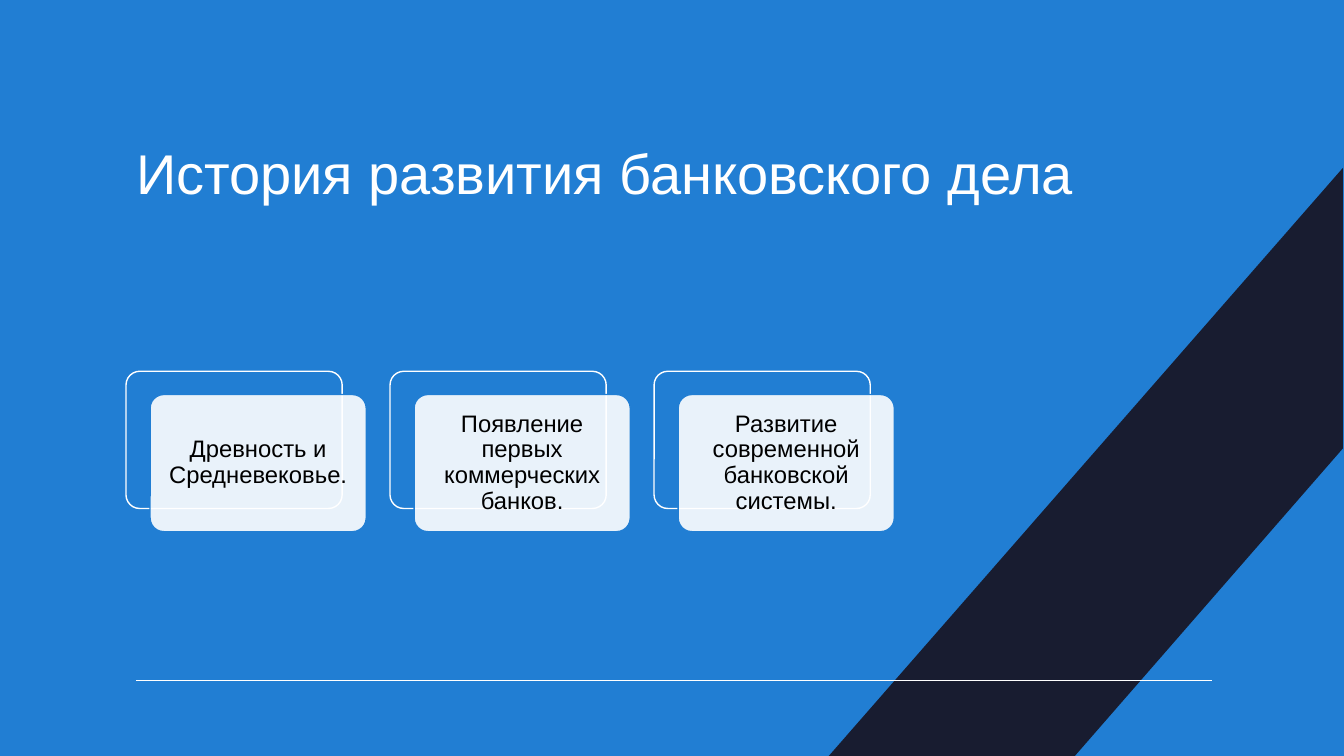
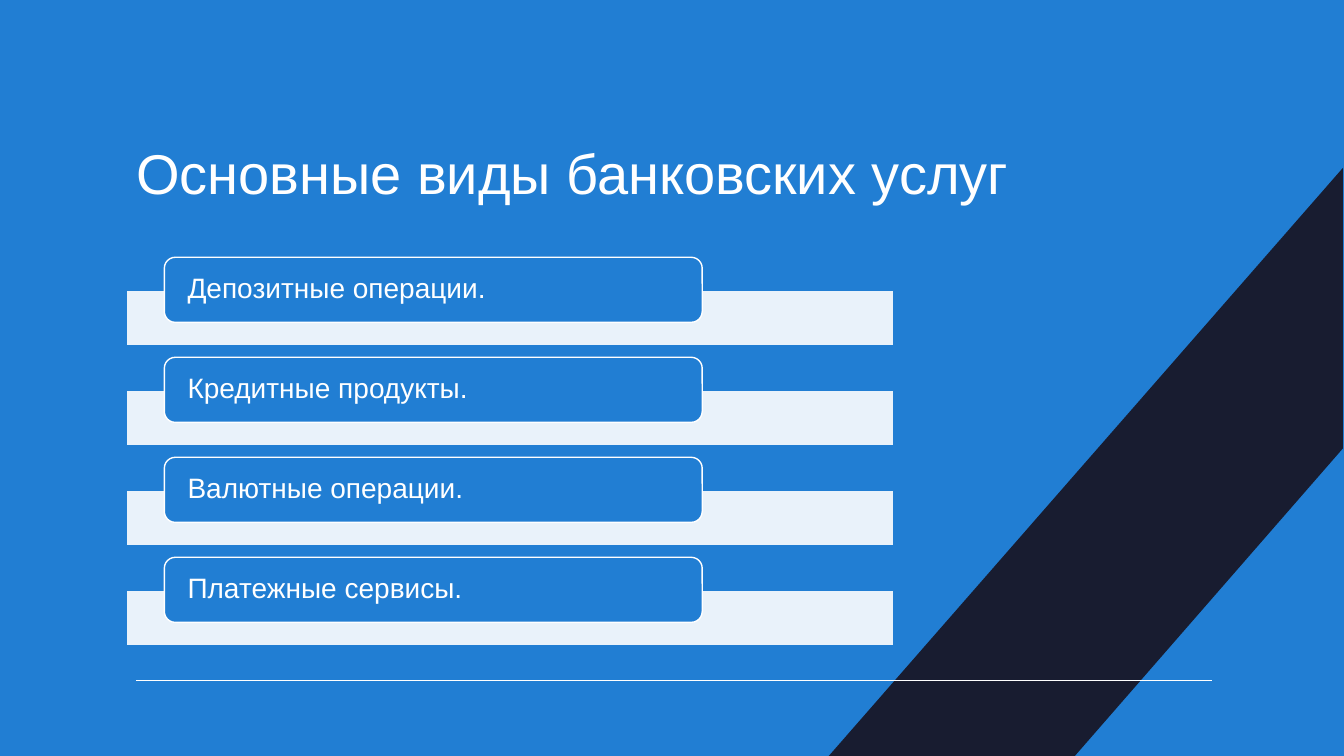
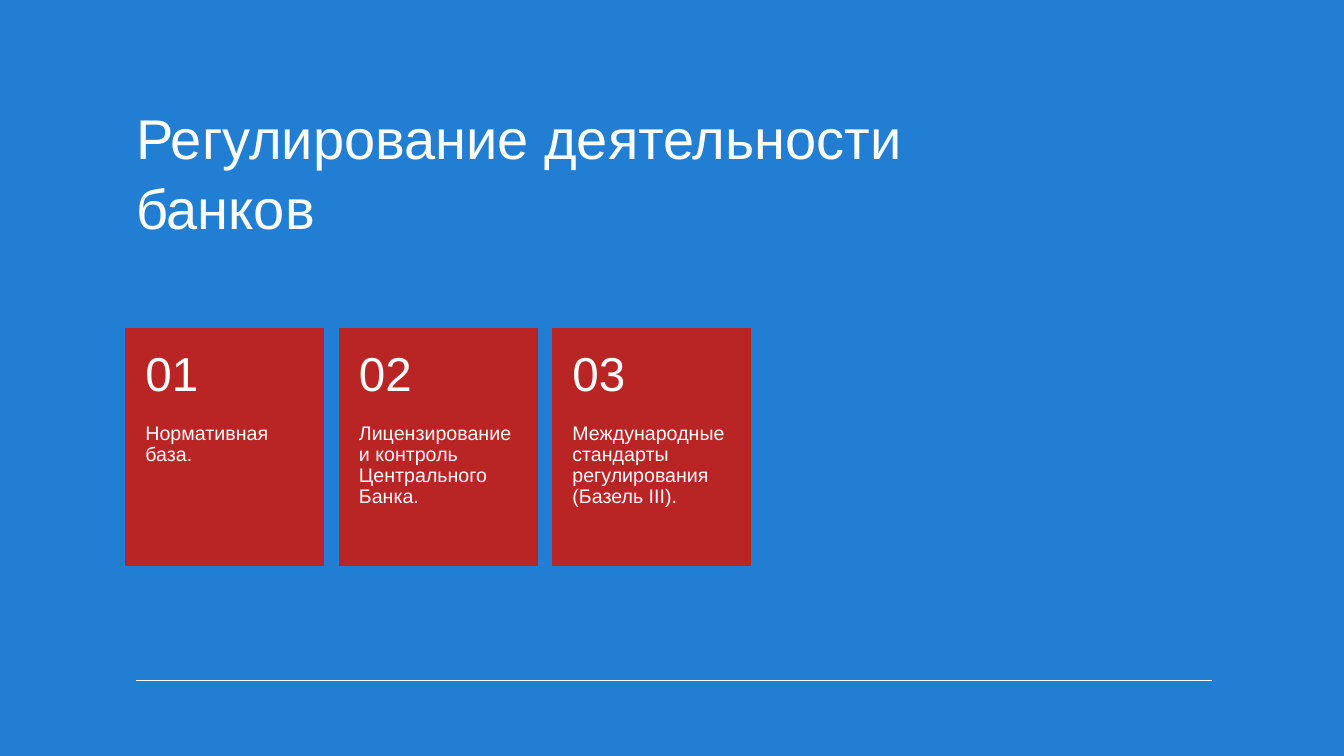
from dataclasses import dataclass
from typing import NamedTuple, Optional

from lxml import etree
from pptx import Presentation
from pptx.dml.color import RGBColor
from pptx.enum.shapes import MSO_CONNECTOR, MSO_SHAPE
from pptx.enum.text import MSO_ANCHOR, MSO_AUTO_SIZE, PP_ALIGN
from pptx.oxml.ns import qn
from pptx.util import Pt

RECT = MSO_SHAPE.RECTANGLE
ROUND = MSO_SHAPE.ROUNDED_RECTANGLE
STRAIGHT = MSO_CONNECTOR.STRAIGHT
LEFT, CENTER = PP_ALIGN.LEFT, PP_ALIGN.CENTER
TOP, MIDDLE = MSO_ANCHOR.TOP, MSO_ANCHOR.MIDDLE
TITLE_ONLY = 5


# Theme
@dataclass(frozen=True)
class Theme:
    font: str = "Arial"
    blue: RGBColor = RGBColor(0x21, 0x7E, 0xD3)
    navy: RGBColor = RGBColor(0x18, 0x1C, 0x30)
    red: RGBColor = RGBColor(0xB9, 0x25, 0x25)
    white: RGBColor = RGBColor(0xFF, 0xFF, 0xFF)
    black: RGBColor = RGBColor(0, 0, 0)
    title: float = 40
    number: float = 34
    item: float = 20
    card: float = 17
    note: float = 14


THEME = Theme()


class Box(NamedTuple):
    x: float
    y: float
    w: float
    h: float

    def move(self, dx: float = 0, dy: float = 0) -> "Box":
        return self._replace(x=self.x + dx, y=self.y + dy)


@dataclass(frozen=True)
class Look:
    """Outline, fill and border of a panel."""
    fill: RGBColor
    line: RGBColor
    radius: float = 0
    alpha: int = 100


@dataclass(frozen=True)
class Type:
    """Size, colour and setting of a text; pad is left, top, right, bottom."""
    size: float
    color: RGBColor
    pad: tuple[float, float, float, float]
    after: float
    align: PP_ALIGN = LEFT
    anchor: MSO_ANCHOR = MIDDLE
    lead: float = 0.9


# Panel looks
PALE = Look(THEME.white, THEME.blue, alpha=90)
PALE_CARD = Look(THEME.white, THEME.blue, radius=9.8, alpha=90)
BACK_CARD = Look(THEME.blue, THEME.white, radius=9.8)
TAB = Look(THEME.blue, THEME.white, radius=7.8)
TILE = Look(THEME.red, THEME.red)

# Text styles
HEAD = Type(THEME.title, THEME.white, (7.2, 3.6, 7.2, 3.6), 0, lead=1.04)
CARD_TEXT = Type(THEME.card, THEME.black, (5, 5, 5, 5), 7, align=CENTER)
TAB_TEXT = Type(THEME.item, THEME.white, (14.3, 0, 14.3, 0), 8)
NOTE = Type(THEME.note, THEME.white, (13.9, 67.7, 13.9, 26), 6, anchor=TOP)
NUMBER = Type(THEME.number, THEME.white, (13.9, 13, 13.9, 13), 14)

# Shared frame
SLIDE = (960, 540)
TITLE_BOX = Box(90, 68.4, 697.7, 107.3)
STRIPE = ((959.2, 120), (959.2, 320.4), (767.8, 540), (592, 540))
RULE = (97.2, 865.5, 485.9)


def place(box: Box) -> tuple[Pt, ...]:
    return tuple(Pt(v) for v in box)


def write(shape, text: str, kind: Type) -> None:
    frame = shape.text_frame
    frame.text = text
    frame.word_wrap = True
    frame.auto_size = MSO_AUTO_SIZE.NONE
    frame.vertical_anchor = kind.anchor
    (frame.margin_left, frame.margin_top,
     frame.margin_right, frame.margin_bottom) = map(Pt, kind.pad)
    for para in frame.paragraphs:
        para.alignment = kind.align
        para.line_spacing = kind.lead
        para.space_before = Pt(0)
        para.space_after = Pt(kind.after)
        for run in para.runs:
            run.font.name = THEME.font
            run.font.size = Pt(kind.size)
            run.font.color.rgb = kind.color


def panel(slide, box: Box, look: Look, text: str = "",
          kind: Optional[Type] = None) -> None:
    shape = slide.shapes.add_shape(ROUND if look.radius else RECT, *place(box))
    shape.shadow.inherit = False
    if look.radius:
        shape.adjustments[0] = look.radius / min(box.w, box.h)
    shape.fill.solid()
    shape.fill.fore_color.rgb = look.fill
    if look.alpha < 100:
        color = shape.element.spPr.find(qn("a:solidFill"))[0]
        etree.SubElement(color, qn("a:alpha"), val=str(look.alpha * 1000))
    shape.line.color.rgb = look.line
    shape.line.width = Pt(1)
    if kind:
        write(shape, text, kind)


def stripe(slide) -> None:
    start, *rest = [(Pt(x), Pt(y)) for x, y in STRIPE]
    path = slide.shapes.build_freeform(*start)
    path.add_line_segments(rest, close=True)
    shape = path.convert_to_shape()
    shape.shadow.inherit = False
    shape.fill.solid()
    shape.fill.fore_color.rgb = THEME.navy
    shape.line.fill.background()


def rule(slide) -> None:
    left, right, y = map(Pt, RULE)
    line = slide.shapes.add_connector(STRAIGHT, left, y, right, y)
    line.line.color.rgb = THEME.white
    line.line.width = Pt(1)
    etree.SubElement(line.element.spPr, qn("a:effectLst"))


def start(deck, title: str, width: float = TITLE_BOX.w, band: bool = True):
    """Add a slide with its title, rule and, if wanted, the dark stripe."""
    slide = deck.slides.add_slide(deck.slide_layouts[TITLE_ONLY])
    head = slide.shapes.title
    head.left, head.top, head.width, head.height = place(
        TITLE_BOX._replace(w=width))
    write(head, title, HEAD)
    if band:
        stripe(slide)
    rule(slide)
    return slide


# Slide 1: stages as offset pairs of cards
def history(deck) -> None:
    slide = start(deck, "История развития банковского дела")
    stages = ("Древность и Средневековье.",
              "Появление первых коммерческих банков.",
              "Развитие современной банковской системы.")
    first, pitch = Box(90, 265.2, 154.4, 98), 188.6
    for i, stage in enumerate(stages):
        back = first.move(dx=i * pitch)
        panel(slide, back, BACK_CARD)
        panel(slide, back.move(17.2, 16.6), PALE_CARD, stage, CARD_TEXT)


# Slide 2: services as tabs over pale bars
def services(deck) -> None:
    slide = start(deck, "Основные виды банковских услуг")
    names = ("Депозитные операции.", "Кредитные продукты.",
             "Валютные операции.", "Платежные сервисы.")
    bar, tab = Box(90, 207.2, 548.6, 39.6), Box(117.4, 183.8, 384.2, 46.5)
    pitch = 71.43
    for i, name in enumerate(names):
        panel(slide, bar.move(dy=i * pitch), PALE)
        panel(slide, tab.move(dy=i * pitch), TAB, name, TAB_TEXT)


# Slide 3: numbered tiles
def rules(deck) -> None:
    slide = start(deck, "Регулирование деятельности банков",
                  width=637.2, band=False)
    notes = ("Нормативная база.",
             "Лицензирование и контроль Центрального Банка.",
             "Международные стандарты регулирования (Базель III).")
    first, pitch = Box(90, 234.7, 141.1, 169.2), 152.5
    for i, note in enumerate(notes):
        tile = first.move(dx=i * pitch)
        panel(slide, tile, TILE, note, NOTE)
        label = slide.shapes.add_textbox(*place(tile._replace(h=67.7)))
        write(label, f"{i + 1:02}", NUMBER)


def main() -> None:
    deck = Presentation()
    deck.slide_width, deck.slide_height = map(Pt, SLIDE)
    back = deck.slide_master.background.fill
    back.solid()
    back.fore_color.rgb = THEME.blue
    for build in (history, services, rules):
        build(deck)
    deck.save("out.pptx")


if __name__ == "__main__":
    main()
